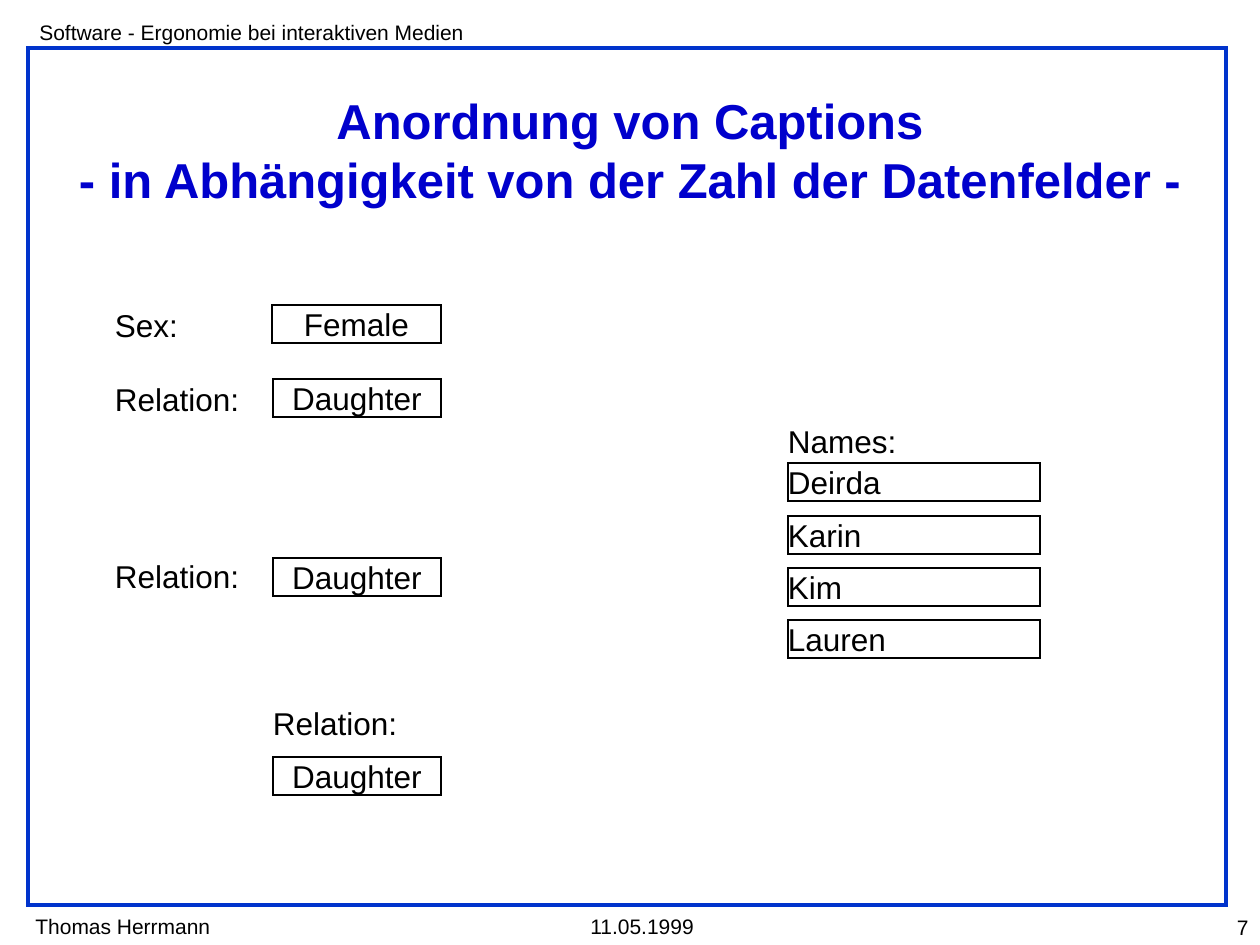
from lxml.etree import SubElement
from pptx import Presentation
from pptx.dml.color import RGBColor
from pptx.enum.shapes import MSO_SHAPE as Shape
from pptx.enum.text import MSO_ANCHOR as Anchor, PP_ALIGN as Align
from pptx.oxml.ns import qn
from pptx.util import Pt

SCALE = 914400 / 126  # EMU per px
BLACK = RGBColor(0x00, 0x00, 0x00)
BLUE = RGBColor(0x00, 0x33, 0xCC)
NAVY = RGBColor(0x00, 0x00, 0xCC)


def emu(*px):
    return [round(n * SCALE) for n in px]


def write(frame, text, size=18, color=BLACK, bold=False, align=Align.LEFT,
          anchor=Anchor.MIDDLE, pad=(0, 0), wrap=True, gap=0):
    """Fill a frame; each line of text is a paragraph, \\v breaks a line."""
    frame.word_wrap = wrap
    frame.vertical_anchor = anchor
    frame.margin_left = frame.margin_right = Pt(pad[0])
    frame.margin_top = frame.margin_bottom = Pt(pad[1])
    for i, line in enumerate(text.split("\n")):
        para = frame.add_paragraph() if i else frame.paragraphs[0]
        para.text = line
        para.alignment = align
        if i:
            para.space_before = Pt(gap)
        for run in para.runs:
            font = run.font
            font.name, font.size, font.bold = "Arial", Pt(size), bold
            font.color.rgb = color


class Page:
    pad = (7.2, 3.6)  # padding of text outside the form

    def __init__(self, deck):
        self.slide = deck.slides.add_slide(deck.slide_layouts[6])
        self.shapes = self.slide.shapes

    def group(self):
        """Put the next elements into a new group."""
        self.shapes = self.slide.shapes.add_group_shape().shapes

    def box(self, x, y, w, h, color=BLACK, width=1.5):
        rect = self.shapes.add_shape(Shape.RECTANGLE, *emu(x, y, w, h))
        rect.shadow.inherit = False
        rect.fill.background()
        rect.line.color.rgb = color
        rect.line.width = Pt(width)
        # Square corners
        SubElement(rect.element.spPr.find(qn("a:ln")), qn("a:miter"),
                   lim="800000")
        return rect

    def field(self, text, x, y, w, align=Align.CENTER):
        write(self.box(x, y, w, 38).text_frame, text, align=align)

    def label(self, text, x, y, w, h=38, **style):
        area = self.shapes.add_textbox(*emu(x, y, w, h))
        write(area.text_frame, text, **style)

    def note(self, text, x, y, w, **style):
        self.label(text, x, y, w, size=12, anchor=Anchor.TOP,
                   pad=self.pad, **style)


def main():
    deck = Presentation()
    deck.slide_width, deck.slide_height = emu(1260, 945)
    page = Page(deck)

    # Frame, header and footer
    page.box(28, 48, 1198, 857, BLUE, 2.25)
    page.note("Thomas Herrmann", 23, 907, 220)
    page.note("Software - Ergonomie bei interaktiven Medien", 27, 13, 466)
    page.note("11.05.1999", 578, 907, 140)
    page.note("7", 1140, 908, 121, align=Align.RIGHT)

    # Title
    page.label("Anordnung von Captions\v"
               "- in Abhängigkeit von der Zahl der Datenfelder -",
               63, 84, 1134, 130, size=28, color=NAVY, bold=True,
               align=Align.CENTER, pad=page.pad)

    # Two fields with captions on the left
    page.group()
    page.label("Sex:\nRelation:", 115, 305, 140, 113, gap=20.7)
    page.field("Female", 272, 305, 169)
    page.field("Daughter", 273, 379, 168)

    # One field: caption on the left, then caption above
    for x, top, y in ((115, 557, 558), (273, 704, 757)):
        page.group()
        page.label("Relation:", x, top, 140)
        page.field("Daughter", 273, y, 168)

    # Column of fields under one caption
    page.group()
    page.label("Names:", 788, 422, 140)
    for i, name in enumerate(("Deirda", "Karin", "Kim", "Lauren")):
        page.field(name, 788, round(463 + 52.5 * i), 252, Align.LEFT)

    deck.save("out.pptx")


if __name__ == "__main__":
    main()
